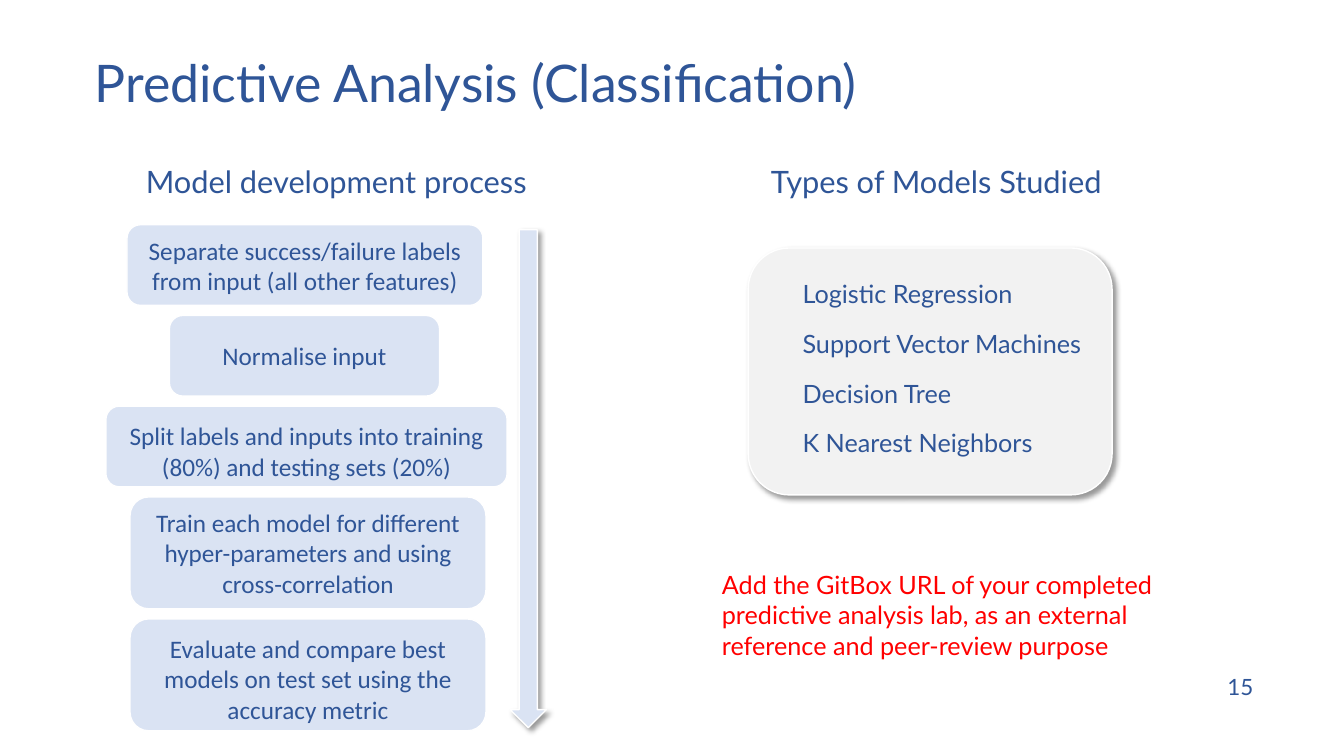
from lxml import etree
from pptx import Presentation
from pptx.dml.color import RGBColor
from pptx.enum.shapes import MSO_SHAPE
from pptx.enum.text import MSO_ANCHOR, MSO_AUTO_SIZE, PP_ALIGN
from pptx.oxml import parse_xml
from pptx.oxml.ns import nsdecls, qn
from pptx.util import Inches, Pt

BLUE = RGBColor(0x2F, 0x55, 0x97)
PALE = RGBColor(0xDA, 0xE3, 0xF3)
GREY = RGBColor(0xF2, 0xF2, 0xF2)
RED = RGBColor(0xFF, 0x00, 0x00)
WHITE = RGBColor(0xFF, 0xFF, 0xFF)
ROUND, DOWN = MSO_SHAPE.ROUNDED_RECTANGLE, MSO_SHAPE.DOWN_ARROW
LEFT, CENTER, RIGHT = PP_ALIGN.LEFT, PP_ALIGN.CENTER, PP_ALIGN.RIGHT
TOP, MIDDLE = MSO_ANCHOR.TOP, MSO_ANCHOR.MIDDLE
COMPARE = 4  # layout with a title and four bodies


class Deck:
    font = "Lato"

    def __init__(self):
        self.prs = Presentation()
        self.prs.slide_width, self.prs.slide_height = Inches(13.33), Inches(7.5)
        self.slide = self.prs.slides.add_slide(self.prs.slide_layouts[COMPARE])
        self.shapes = self.slide.shapes

    def put(self, shape, lines, size, color=BLUE, align=LEFT, anchor=TOP,
            font=font, gap=0, pitch=1):
        frame = shape.text_frame
        frame.word_wrap = True
        frame.auto_size = MSO_AUTO_SIZE.NONE
        frame.vertical_anchor = anchor
        for i, line in enumerate(lines):
            para = frame.add_paragraph() if i else frame.paragraphs[0]
            props = para._p.get_or_add_pPr()
            props.set("marL", "0")
            props.set("indent", "0")
            etree.SubElement(props, qn("a:buNone"))
            para.alignment, para.line_spacing = align, pitch
            para.space_before = Pt(gap if i else 0)
            run = para.add_run()
            run.text = line
            run.font.name, run.font.size = font, Pt(size)
            run.font.bold = False
            run.font.color.rgb = color

    def hold(self, idx, box, lines, size, **style):
        """Fill a placeholder and bring it to the front."""
        item = next(p for p in self.slide.placeholders
                    if p.placeholder_format.idx == idx)
        item.left, item.top, item.width, item.height = map(Inches, box)
        self.put(item, lines, size, **style)
        self.shapes._spTree.append(item._element)

    def label(self, box, text, size, **style):
        item = self.shapes.add_textbox(*map(Inches, box))
        self.put(item, [text], size, **style)

    def block(self, kind, box, fill, shade=False):
        item = self.shapes.add_shape(kind, *map(Inches, box))
        item.shadow.inherit = False
        item.fill.solid()
        item.fill.fore_color.rgb = fill
        item.line.color.rgb, item.line.width = WHITE, Pt(1)
        if shade:
            effects = item._element.spPr.find(qn("a:effectLst"))
            effects.append(parse_xml(
                f'<a:outerShdw {nsdecls("a")} blurRad="{Pt(4)}" dist="{Pt(3)}" '
                'dir="2700000" algn="tl" rotWithShape="0"><a:srgbClr val="000000">'
                '<a:alpha val="40000"/></a:srgbClr></a:outerShdw>'))
        return item

    def step(self, box, text, drop):
        item = self.block(ROUND, box, PALE)
        frame = item.text_frame
        frame.margin_left = frame.margin_right = Inches(0.1)
        frame.margin_top, frame.margin_bottom = Inches(drop), 0
        self.put(item, [text], 18, align=CENTER, anchor=MIDDLE, font="Calibri")


def main():
    deck = Deck()

    # Title and column heads
    deck.hold(0, (0.84, 0.59, 11.5, 0.6), ["Predictive Analysis (Classification)"],
              37, anchor=MIDDLE, pitch=0.7)
    heads = ((1, 0.84, "Model development process"),
             (3, 6.79, "Types of Models Studied"))
    for idx, left, text in heads:
        deck.hold(idx, (left, 1.56, 4.99, 0.63), [text], 22, align=CENTER)

    # Process steps: left, width, height, text offset, text
    steps = (
        (1.26, 3.53, 0.8, 0,
         "Separate success/failure labels from input (all other features)"),
        (1.68, 2.68, 0.8, 0, "Normalise input"),
        (1.05, 3.98, 0.8, 0.09,
         "Split labels and inputs into training (80%) and testing sets (20%)"),
        (1.29, 3.53, 1.11, 0,
         "Train each model for different hyper-parameters and using cross-correlation"),
        (1.29, 3.53, 1.11, 0.08,
         "Evaluate and compare best models on test set using the accuracy metric"),
    )
    top = 2.23
    for left, width, height, drop, text in steps:
        deck.step((left, top, width, height), text, drop)
        top += height + 0.1
    deck.block(DOWN, (5.06, 2.28, 0.36, 4.94), PALE, shade=True)

    # Models
    deck.block(ROUND, (7.42, 2.46, 3.61, 2.45), GREY, shade=True)
    deck.hold(2, (7.86, 2.71, 3, 1.9),
              ["Logistic Regression", "Support Vector Machines",
               "Decision Tree", "K Nearest Neighbors"], 18, gap=14)

    # Note and page number
    deck.hold(4, (7.06, 5.6, 4.99, 1.31),
              ["Add the GitBox URL of your completed predictive analysis lab, "
               "as an external reference and peer-review purpose"], 18, color=RED)
    deck.label((9.53, 6.59, 3, 0.44), "15", 16, align=RIGHT, anchor=MIDDLE)

    deck.prs.save("out.pptx")


if __name__ == "__main__":
    main()
